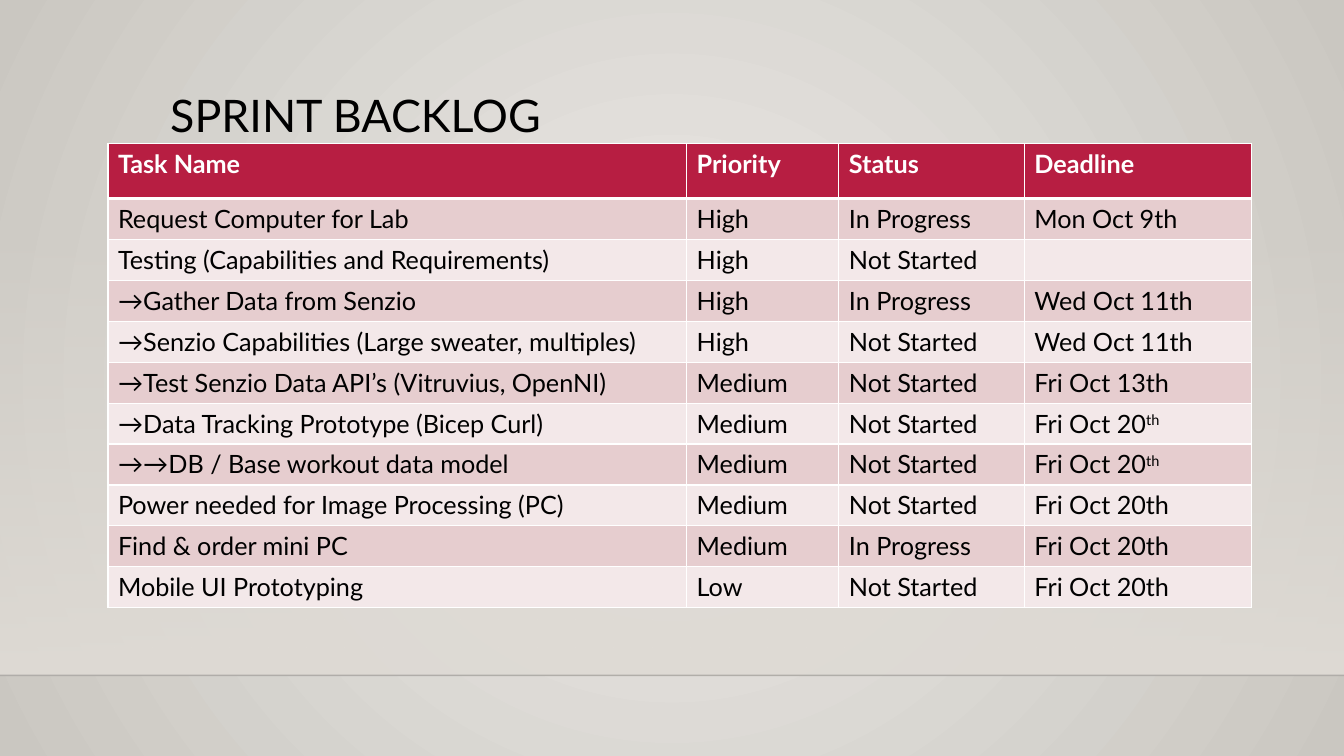
from lxml.etree import SubElement, fromstring
from pptx import Presentation
from pptx.dml.color import RGBColor
from pptx.enum.shapes import MSO_CONNECTOR, MSO_SHAPE
from pptx.enum.text import MSO_ANCHOR
from pptx.oxml.ns import nsdecls, qn
from pptx.util import Inches, Pt

COLORS = {
    "center": "ECEAE7", "edge": "CAC7C1", "wall": "DFDBD5", "floor": "000001",
    "header": "B71E42", "odd": "E6CDCF", "even": "F3E8E9",
    "border": "FFFFFF", "text": "000000", "header_text": "FFFFFF",
}
FONT = "Lato"
WIDTH, HEIGHT = Inches(13.33), Inches(7.5)

# Boxes are left, top, width and height in percent of the slide.
WALL_BOX = (0, 29.47, 100, 59.87)
TITLE_BOX = (11.93, 11.73, 78.77, 15.33)
BACKLOG_BOX = (8.03, 18.93, 85.07, 61.47)
COLUMN_WEIGHTS = (5.74, 1.51, 1.84, 2.25)
HEADER_WEIGHT, TASK_WEIGHT = 5.5, 4.06

HEADINGS = ("Task Name", "Priority", "Status", "Deadline")
# A caret starts a superscript.
TASKS = (
    ("Request Computer for Lab", "High", "In Progress", "Mon Oct 9th"),
    ("Testing (Capabilities and Requirements)", "High", "Not Started", ""),
    ("→Gather Data from Senzio", "High", "In Progress", "Wed Oct 11th"),
    ("→Senzio Capabilities (Large sweater, multiples)", "High", "Not Started", "Wed Oct 11th"),
    ("→Test Senzio Data API’s (Vitruvius, OpenNI)", "Medium", "Not Started", "Fri Oct 13th"),
    ("→Data Tracking Prototype (Bicep Curl)", "Medium", "Not Started", "Fri Oct 20^th"),
    ("→→DB / Base workout data model", "Medium", "Not Started", "Fri Oct 20^th"),
    ("Power needed for Image Processing (PC)", "Medium", "Not Started", "Fri Oct 20th"),
    ("Find & order mini PC", "Medium", "In Progress", "Fri Oct 20th"),
    ("Mobile UI Prototyping", "Low", "Not Started", "Fri Oct 20th"),
)


def place(box):
    """Turn a box in percent into slide lengths."""
    left, top, width, height = box
    return (int(WIDTH * left / 100), int(HEIGHT * top / 100),
            int(WIDTH * width / 100), int(HEIGHT * height / 100))


def rgb(name):
    """Look up a colour by name."""
    return RGBColor.from_string(COLORS[name])


def style_runs(paragraph, size, color, bold=False):
    """Give every run of a paragraph its font."""
    for run in paragraph.runs:
        run.font.name = FONT
        run.font.size = Pt(size)
        run.font.bold = bold
        run.font.color.rgb = rgb(color)


def set_gradient(parent, stops, direction):
    """Replace the gradient in parent by stops of (position, colour, opacity)."""
    stop_xml = "".join(
        f'<a:gs pos="{position * 1000}"><a:srgbClr val="{COLORS[color]}">'
        f'<a:alpha val="{opacity * 1000}"/></a:srgbClr></a:gs>'
        for position, color, opacity in stops)
    old = next(parent.iter(qn("a:gradFill")))
    old.getparent().replace(old, fromstring(
        f'<a:gradFill {nsdecls("a")} rotWithShape="1">'
        f"<a:gsLst>{stop_xml}</a:gsLst>{direction}</a:gradFill>"))


def add_backdrop(slide, box):
    """Paint the round glow, the fading wall and the floor line under it."""
    slide.background.fill.gradient()
    set_gradient(slide._element, [(0, "center", 100), (100, "edge", 100)],
                 '<a:path path="circle"><a:fillToRect l="50000" t="50000" '
                 'r="50000" b="50000"/></a:path>')

    left, top, width, height = place(box)
    wall = slide.shapes.add_shape(MSO_SHAPE.RECTANGLE, left, top, width, height)
    wall.shadow.inherit = False
    wall.line.fill.background()
    wall.fill.gradient()
    set_gradient(wall._element, [(0, "wall", 0), (100, "wall", 100)],
                 '<a:lin ang="5400000" scaled="0"/>')

    floor = slide.shapes.add_connector(
        MSO_CONNECTOR.STRAIGHT, left, top + height, left + width, top + height)
    floor.line.width = Pt(1)
    floor.line.color.rgb = rgb("floor")
    SubElement(next(floor._element.iter(qn("a:srgbClr"))), qn("a:alpha"), val="20000")
    SubElement(floor._element.spPr, qn("a:effectLst"))


def add_title(slide, box):
    """Write the slide title."""
    frame = slide.shapes.add_textbox(*place(box)).text_frame
    frame.word_wrap = True
    frame.vertical_anchor = MSO_ANCHOR.TOP
    frame.text = "SPRINT BACKLOG"
    frame.paragraphs[0].line_spacing = 0.9
    style_runs(frame.paragraphs[0], 32, "text")


def set_borders(cell, top, bottom):
    """Draw the four borders of a cell; top and bottom are widths in points."""
    for side, width in (("L", 1), ("R", 1), ("T", top), ("B", bottom)):
        line = SubElement(cell._tc.get_or_add_tcPr(), qn(f"a:ln{side}"), w=str(Pt(width)))
        fill = SubElement(line, qn("a:solidFill"))
        SubElement(fill, qn("a:srgbClr"), val=COLORS["border"])


def fill_cell(cell, text, row):
    """Write and style one cell according to its row."""
    is_header = row == 0
    set_borders(cell, 3 if row == 1 else 1, 3 if is_header else 1)
    cell.fill.solid()
    cell.fill.fore_color.rgb = rgb("header" if is_header else "odd" if row % 2 else "even")
    body, _, superscript = text.partition("^")
    cell.text_frame.text = body
    paragraph = cell.text_frame.paragraphs[0]
    if superscript:
        ordinal = paragraph.add_run()
        ordinal.text = superscript
        ordinal._r.get_or_add_rPr().set("baseline", "30000")
    style_runs(paragraph, 18, "header_text" if is_header else "text", is_header)


def add_backlog(slide, box):
    """Build the task table, sharing its box out by the weights."""
    left, top, width, height = place(box)
    rows = (HEADINGS, *TASKS)
    backlog = slide.shapes.add_table(
        len(rows), len(HEADINGS), left, top, width, height).table
    for column, weight in zip(backlog.columns, COLUMN_WEIGHTS):
        column.width = int(width * weight / sum(COLUMN_WEIGHTS))
    row_weights = [HEADER_WEIGHT] + [TASK_WEIGHT] * len(TASKS)
    for row, weight in zip(backlog.rows, row_weights):
        row.height = int(height * weight / sum(row_weights))
    for r, texts in enumerate(rows):
        for c, text in enumerate(texts):
            fill_cell(backlog.cell(r, c), text, r)


def build_sprint_slide(deck):
    """Add the sprint backlog slide."""
    slide = deck.slides.add_slide(deck.slide_layouts[6])
    add_backdrop(slide, WALL_BOX)
    add_title(slide, TITLE_BOX)
    add_backlog(slide, BACKLOG_BOX)


deck = Presentation()
deck.slide_width, deck.slide_height = WIDTH, HEIGHT
build_sprint_slide(deck)
deck.save("out.pptx")
